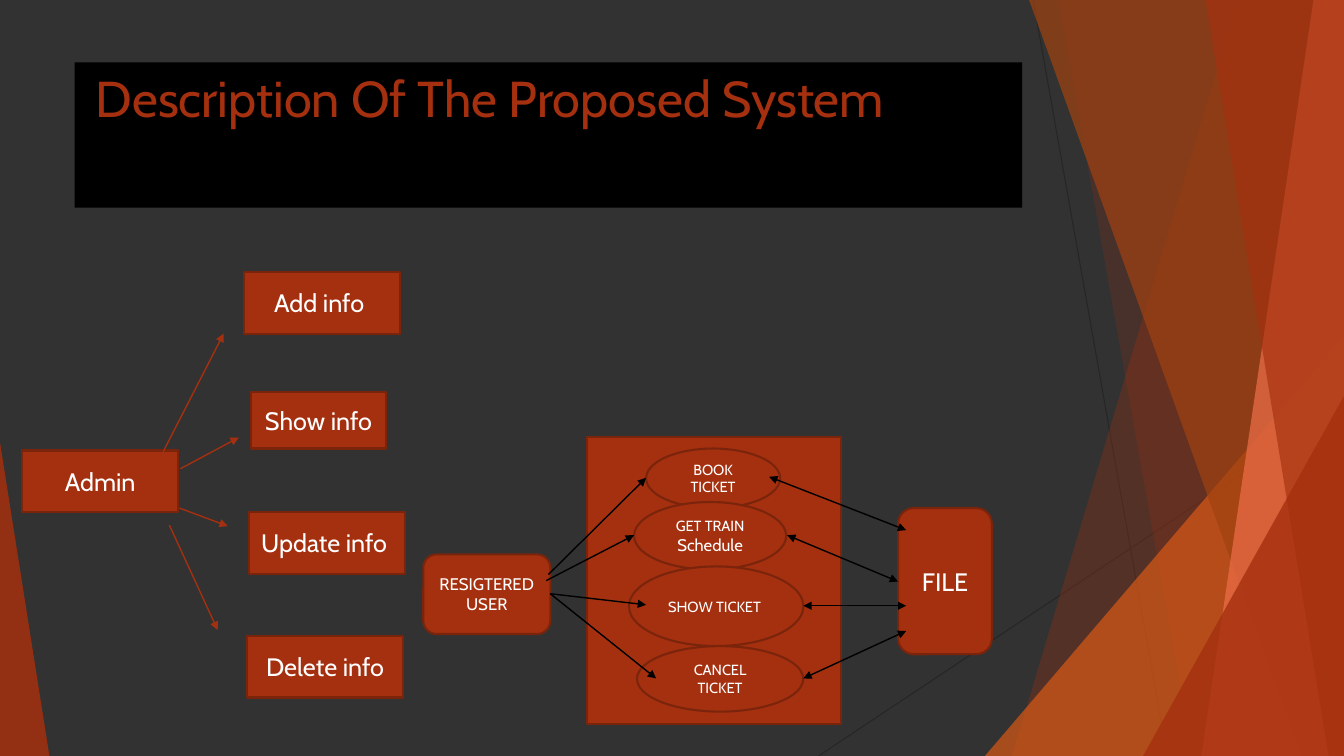
import pptx
import pptx.dml.color
import pptx.enum.dml
import pptx.enum.shapes
import pptx.enum.text
import pptx.oxml.ns
import pptx.util
import lxml.etree

Pt = pptx.util.Pt
SHAPE = pptx.enum.shapes.MSO_SHAPE
ALIGN = pptx.enum.text.PP_ALIGN
ANCHOR = pptx.enum.text.MSO_ANCHOR
qn = pptx.oxml.ns.qn

FONT = "Cabin"
RUST = "A5300F"
DARK_RUST = "7A240B"
BLACK = "000000"
WHITE = "FFFFFF"


def color(value):
    return pptx.dml.color.RGBColor.from_string(value)


def paint(shape, fill, opacity=100):
    shape.shadow.inherit = False
    shape.fill.solid()
    shape.fill.fore_color.rgb = color(fill)
    shape.line.fill.background()
    if opacity < 100:
        tint = shape._element.spPr.find(qn("a:solidFill")).find(qn("a:srgbClr"))
        lxml.etree.SubElement(tint, qn("a:alpha")).set("val", str(opacity * 1000))


def format_paragraph(paragraph, size, font_color, alignment):
    paragraph.alignment = alignment
    for run in paragraph.runs:
        run.font.name = FONT
        run.font.size = Pt(size)
        run.font.color.rgb = color(font_color)


def add_node(slide, kind, left, top, width, height, text="", sizes=(18,)):
    shape = slide.shapes.add_shape(kind, Pt(left), Pt(top), Pt(width), Pt(height))
    paint(shape, RUST)
    shape.line.color.rgb = color(DARK_RUST)
    shape.line.width = Pt(1.5)
    if text:
        frame = shape.text_frame
        frame.text = text
        frame.word_wrap = True
        frame.vertical_anchor = ANCHOR.MIDDLE
        for paragraph, size in zip(frame.paragraphs, sizes):
            format_paragraph(paragraph, size, WHITE, ALIGN.CENTER)


def add_line(slide, left, top, start, end, line_color, width=1, arrowheads=()):
    connector = slide.shapes.add_connector(
        pptx.enum.shapes.MSO_CONNECTOR.STRAIGHT,
        Pt(left + start[0]), Pt(top + start[1]),
        Pt(left + end[0]), Pt(top + end[1]))
    connector.line.color.rgb = color(line_color)
    connector.line.width = Pt(width)
    outline = connector.line._get_or_add_ln()
    for arrowhead in arrowheads:
        lxml.etree.SubElement(outline, qn(arrowhead)).set("type", "triangle")
    lxml.etree.SubElement(connector._element.spPr, qn("a:effectLst"))


def add_facet(slide, right, height, top_x, bottom_x, fill, opacity):
    builder = slide.shapes.build_freeform(Pt(top_x), Pt(0))
    builder.add_line_segments(
        [(Pt(right), Pt(0)), (Pt(right), Pt(height)), (Pt(bottom_x), Pt(height))])
    paint(builder.convert_to_shape(), fill, opacity)


def add_corner(slide, left, bottom, width, height, apex, fill, opacity):
    shape = slide.shapes.add_shape(
        SHAPE.ISOSCELES_TRIANGLE, Pt(left), Pt(bottom - height), Pt(width), Pt(height))
    shape.adjustments[0] = apex
    paint(shape, fill, opacity)


def add_backdrop(slide, width, height):
    slide.background.fill.solid()
    slide.background.fill.fore_color.rgb = color("323232")
    add_line(slide, 0, 0, (738, 0), (833.8, height), "262626", 0.75)
    add_line(slide, 0, 0, (width, 290.2), (584.6, height), "262626", 0.75)
    add_facet(slide, width, height, 884.2, 722.9, RUST, 30)
    add_facet(slide, width, height, 756, 851.8, RUST, 20)
    add_corner(slide, width - 256.5, height, 256.5, 300, 1, "D55816", 72)
    add_facet(slide, width, height, 735.1, 929.5, "A04210", 70)
    add_facet(slide, width, height, 938.2, 858.2, "EE6E4A", 70)
    add_facet(slide, width, height, 861.1, 949, RUST, 65)
    add_corner(slide, width - 143.5, height, 143.5, 257, 1, RUST, 80)
    add_corner(slide, 0, height, 35.3, 224, 0, RUST, 85)


def add_title(slide, left, top, width, height):
    title = slide.shapes.title
    title.left, title.top = Pt(left), Pt(top)
    title.width, title.height = Pt(width), Pt(height)
    title.fill.solid()
    title.fill.fore_color.rgb = color(BLACK)
    frame = title.text_frame
    frame.text = " Description Of The Proposed System"
    frame.word_wrap = True
    frame.auto_size = pptx.enum.text.MSO_AUTO_SIZE.NONE
    frame.vertical_anchor = ANCHOR.TOP
    format_paragraph(frame.paragraphs[0], 36, RUST, ALIGN.LEFT)


def add_user_flow(slide, left, top):
    nodes = [
        (SHAPE.RECTANGLE, 117, 0.5, 181.5, 204.5, "", ()),
        (SHAPE.OVAL, 159.5, 8.4, 95.8, 42.5, "BOOK TICKET", (10.5,)),
        (SHAPE.OVAL, 150.9, 46.6, 108.7, 48.2, "GET TRAIN\nSchedule", (10.5, 12)),
        (SHAPE.OVAL, 147.3, 92.6, 124.6, 56.9, "SHOW TICKET ", (10.5,)),
        (SHAPE.OVAL, 153, 149.5, 118.8, 46.8, "CANCEL TICKET", (10.5,)),
        (SHAPE.ROUNDED_RECTANGLE, 0.4, 84, 90.7, 56.9, "RESIGTERED USER", (12,)),
        (SHAPE.ROUNDED_RECTANGLE, 339.5, 50.9, 67, 104.4, "FILE", (18,)),
    ]
    for kind, x, y, width, height, text, sizes in nodes:
        add_node(slide, kind, left + x, top + y, width, height, text, sizes)
    user_arrows = [
        ((89.7, 98.4), (159.5, 29.3)),
        ((88.2, 102.7), (150.9, 70.3)),
        ((91.1, 112.1), (159.5, 120)),
        ((91.1, 112.1), (166.7, 172.6)),
    ]
    file_arrows = [
        ((247.4, 28.6), (345.3, 66.7)),
        ((260.3, 70.3), (339.5, 103.4)),
        ((271.8, 120.7), (345.3, 120.7)),
        ((271.8, 172.6), (345.3, 138.7)),
    ]
    for start, end in user_arrows:
        add_line(slide, left, top, start, end, BLACK, arrowheads=("a:tailEnd",))
    for start, end in file_arrows:
        add_line(slide, left, top, start, end, BLACK,
                 arrowheads=("a:headEnd", "a:tailEnd"))


def add_admin_flow(slide, left, top):
    nodes = [
        (0, 127.4, 111.6, 43.9, "Admin"),
        (158.4, 0, 111.6, 43.9, "Add info "),
        (163.5, 85.7, 96.5, 40.3, "Show info"),
        (162, 171.4, 111.6, 43.9, "Update info "),
        (160.6, 259.9, 111.6, 43.9, "Delete info"),
    ]
    for x, y, width, height, text in nodes:
        add_node(slide, SHAPE.RECTANGLE, left + x, top + y, width, height, text)
    arrows = [
        ((100.8, 128.2), (144, 43.9)),
        ((113.1, 140.4), (154.8, 118.1)),
        ((112.4, 168.5), (146.9, 181.4)),
        ((105.2, 180.7), (139.7, 255.6)),
    ]
    for start, end in arrows:
        add_line(slide, left, top, start, end, RUST, arrowheads=("a:tailEnd",))


def main():
    presentation = pptx.Presentation()
    presentation.slide_width = Pt(960)
    presentation.slide_height = Pt(540)
    slide = presentation.slides.add_slide(presentation.slide_layouts[5])
    add_backdrop(slide, 960, 540)
    add_title(slide, 53.3, 44.6, 676.8, 103.7)
    add_user_flow(slide, 302, 312)
    add_admin_flow(slide, 15.8, 194.4)
    presentation.save("out.pptx")


if __name__ == "__main__":
    main()
